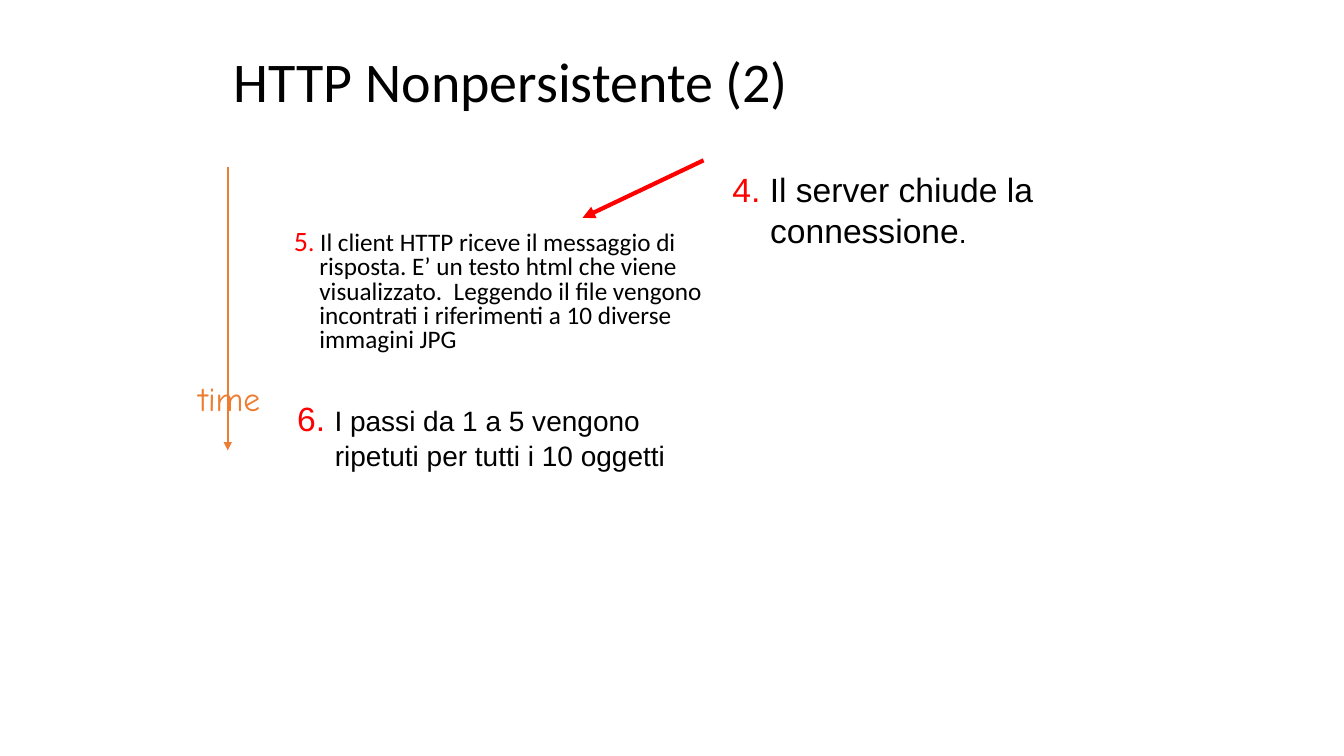
from dataclasses import dataclass
from typing import Any, Optional

from pptx import Presentation
from pptx import util as u
from pptx.dml.color import RGBColor
from pptx.enum import shapes, text
from pptx.oxml.ns import qn
from lxml import etree

BLACK = RGBColor(0x00, 0x00, 0x00)
RED = RGBColor(0xFF, 0x00, 0x00)
ORANGE = RGBColor(0xED, 0x7D, 0x31)
TITLE_ONLY = 5


@dataclass
class Run:
    text: str
    size: int
    color: RGBColor


@dataclass
class Label:
    left: float
    top: float
    width: float
    height: float
    font: str
    runs: list[Run]
    hanging: float = 0
    line_spacing: Optional[float] = None
    align: text.PP_ALIGN = text.PP_ALIGN.LEFT
    anchor: text.MSO_ANCHOR = text.MSO_ANCHOR.TOP
    wrap: bool = True
    auto_size: text.MSO_AUTO_SIZE = text.MSO_AUTO_SIZE.NONE


@dataclass
class Arrow:
    start: tuple[float, float]
    end: tuple[float, float]
    color: RGBColor
    width: float


TITLE = Label(5.64, 0.91, 22.66, 2.41, "Calibri",
              [Run("HTTP Nonpersistente (2)", 40, BLACK)],
              line_spacing=0.9, anchor=text.MSO_ANCHOR.MIDDLE)

LABELS = [
    Label(7.16, 5.66, 11.2, 4.14, "Calibri", [
        Run("5", 20, RED),
        Run(".", 18, RED),
        Run(" Il client HTTP riceve il messaggio di risposta. E’ un testo html "
            "che viene visualizzato.  Leggendo il file vengono incontrati i "
            "riferimenti a 10 diverse immagini JPG", 18, BLACK),
    ], hanging=0.64, line_spacing=0.8),
    Label(7.24, 9.91, 10.59, 1.85, "Arial", [
        Run("6. ", 24, RED),
        Run("I passi da 1 a 5 vengono ripetuti per tutti i 10 oggetti", 20, BLACK),
    ], hanging=0.95),
    Label(18.21, 4.14, 10.59, 2.03, "Arial", [
        Run("4.", 24, RED),
        Run(" Il server chiude la connessione", 24, BLACK),
        Run(".", 20, BLACK),
    ], hanging=0.95),
]

TIME_LABEL = Label(4.65, 9.4, 2.26, 1.27, "Comic Neue", [Run("time", 24, ORANGE)],
                   align=text.PP_ALIGN.CENTER, wrap=False,
                   auto_size=text.MSO_AUTO_SIZE.SHAPE_TO_FIT_TEXT)

TIME_ARROW = Arrow((5.74, 4.22), (5.74, 11.35), ORANGE, 1.5)
REPLY_ARROW = Arrow((17.73, 4.04), (14.68, 5.49), RED, 3)


def set_attributes(target: Any, values: dict[str, Any]) -> None:
    for name, value in values.items():
        setattr(target, name, value)


def write_label(shape: Any, label: Label) -> None:
    set_attributes(shape, {
        "left": u.Cm(label.left), "top": u.Cm(label.top),
        "width": u.Cm(label.width), "height": u.Cm(label.height),
    })
    frame = shape.text_frame
    set_attributes(frame, {
        "word_wrap": label.wrap, "auto_size": label.auto_size,
        "vertical_anchor": label.anchor,
    })
    paragraph = frame.paragraphs[0]
    set_attributes(paragraph, {
        "alignment": label.align, "line_spacing": label.line_spacing,
    })
    if label.hanging:
        properties = paragraph._p.get_or_add_pPr()
        properties.set("marL", str(u.Cm(label.hanging)))
        properties.set("indent", str(-u.Cm(label.hanging)))
    for part in label.runs:
        run = paragraph.add_run()
        run.text = part.text
        set_attributes(run.font, {"name": label.font, "size": u.Pt(part.size)})
        run.font.color.rgb = part.color


def add_label(slide: Any, label: Label) -> None:
    write_label(slide.shapes.add_textbox(0, 0, 0, 0), label)


def add_arrow(slide: Any, arrow: Arrow) -> None:
    ends = [u.Cm(value) for value in (*arrow.start, *arrow.end)]
    connector = slide.shapes.add_connector(shapes.MSO_CONNECTOR.STRAIGHT, *ends)
    connector.line.color.rgb = arrow.color
    connector.line.width = u.Pt(arrow.width)
    etree.SubElement(connector.line._get_or_add_ln(), qn("a:tailEnd"), type="triangle")
    etree.SubElement(connector._element.spPr, qn("a:effectLst"))


def main() -> None:
    presentation = Presentation()
    set_attributes(presentation, {"slide_width": u.Cm(33.87), "slide_height": u.Cm(19.05)})
    slide = presentation.slides.add_slide(presentation.slide_layouts[TITLE_ONLY])
    write_label(slide.shapes.title, TITLE)
    for label in LABELS:
        add_label(slide, label)
    add_arrow(slide, TIME_ARROW)
    add_label(slide, TIME_LABEL)
    add_arrow(slide, REPLY_ARROW)
    presentation.save("out.pptx")


if __name__ == "__main__":
    main()
